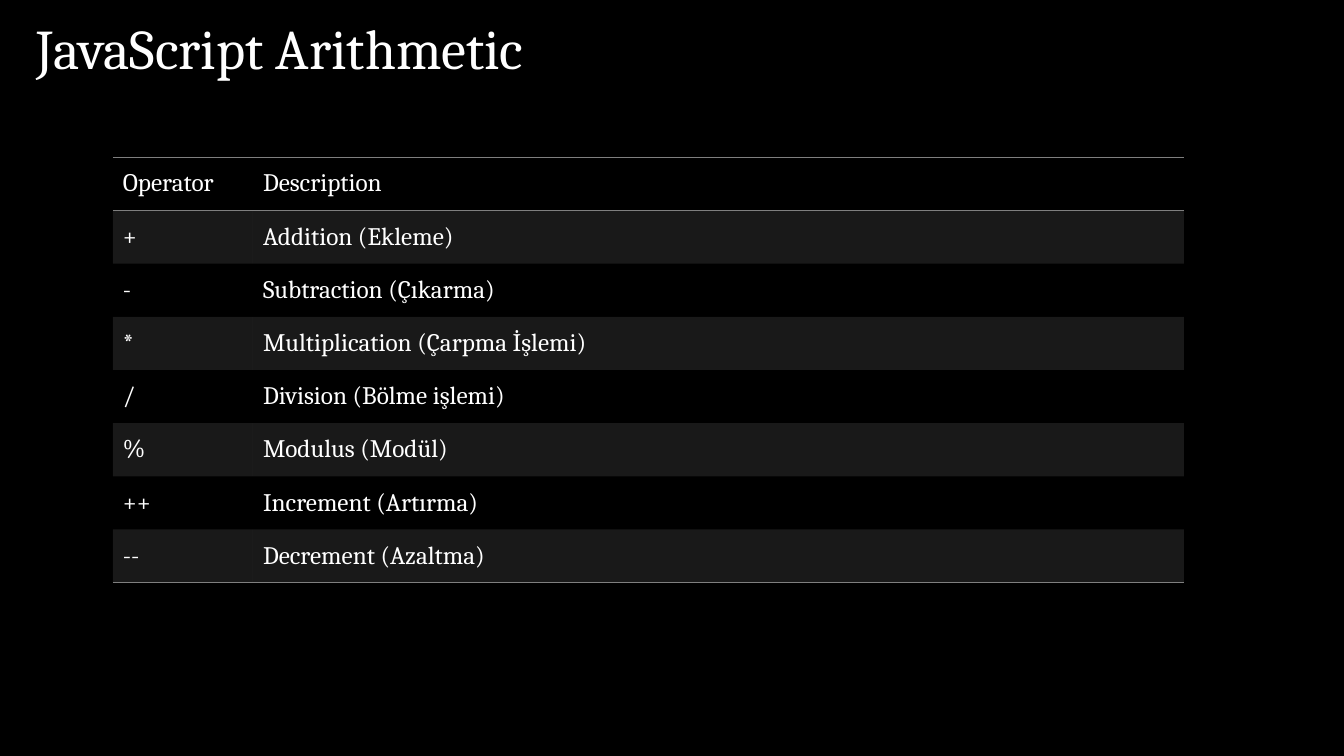
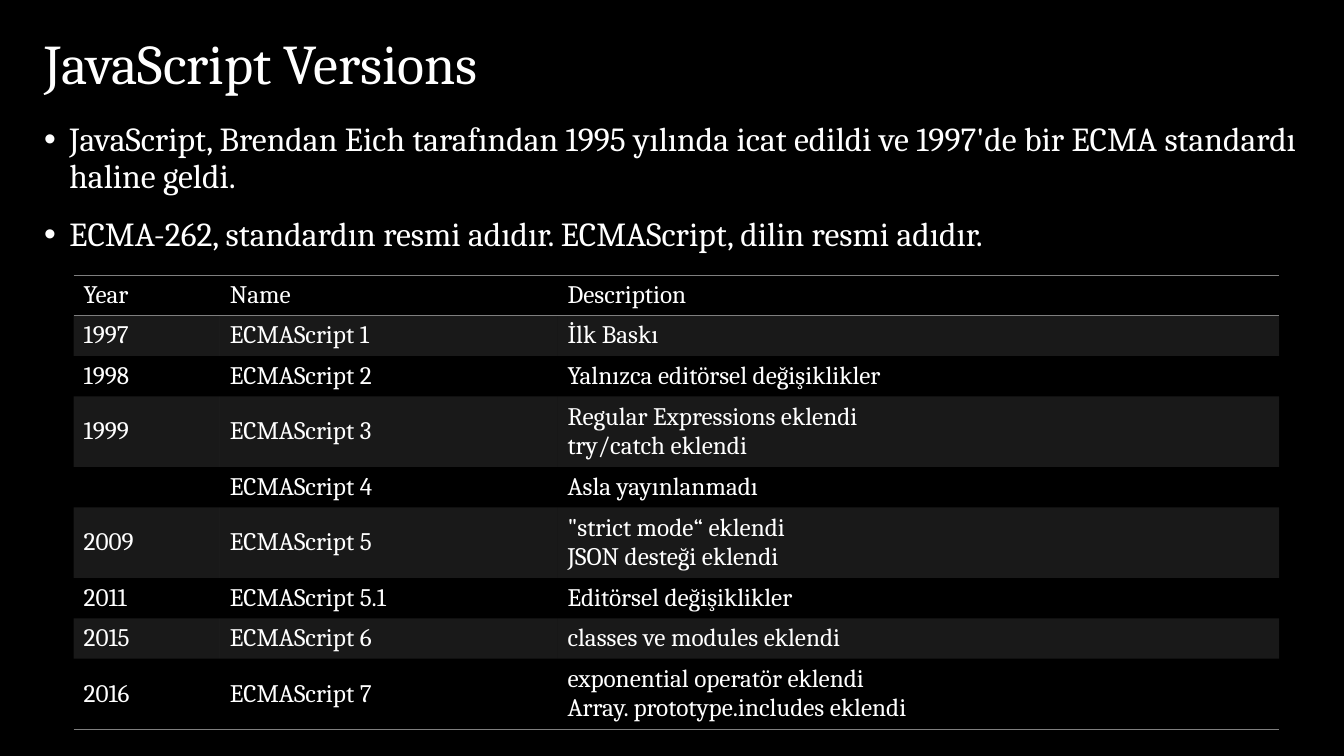
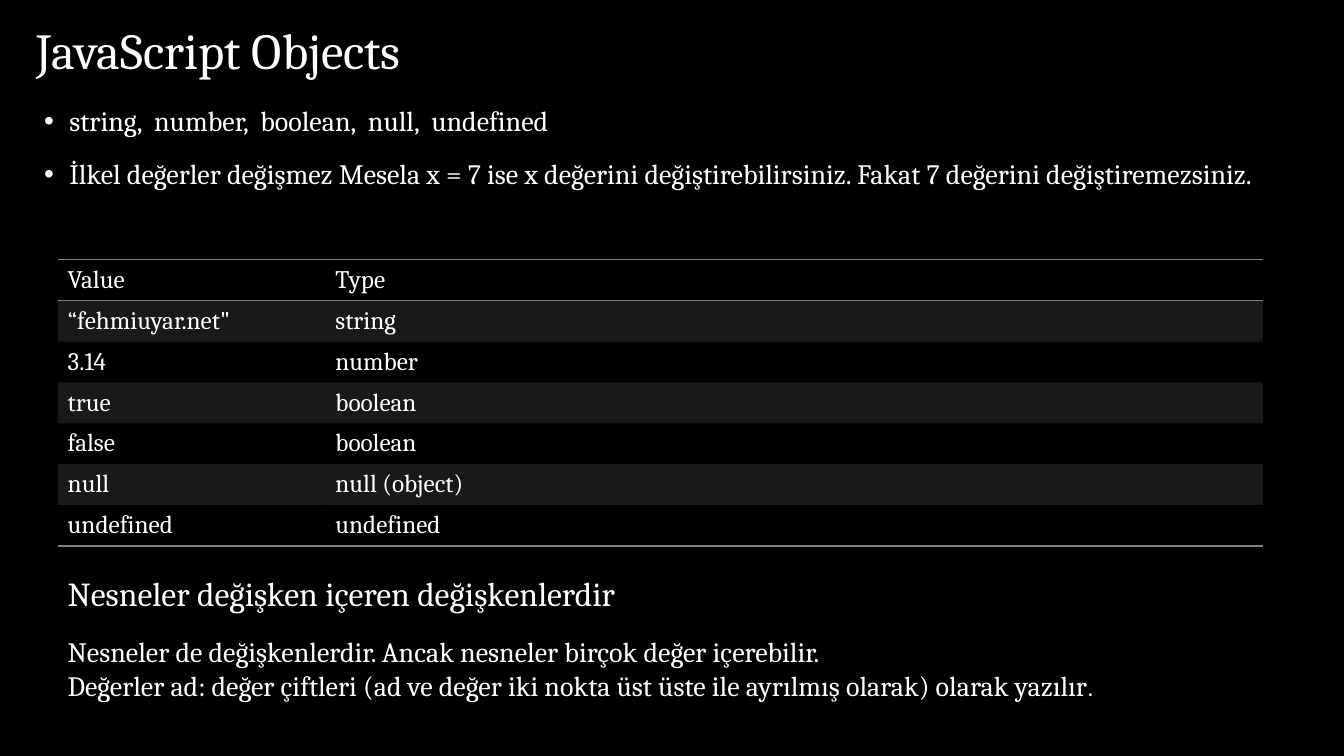
from dataclasses import dataclass

from lxml import etree
from pptx import Presentation
from pptx import util as u
from pptx.dml.color import RGBColor
from pptx.enum import text
from pptx.oxml.ns import qn


@dataclass(frozen=True)
class Theme:
    font: str = "Cambria"
    bullet_font: str = "Arial"
    back: str = "000000"
    ink: str = "FFFFFF"
    gray: str = "7F7F7F"
    band_alpha: str = "20000"
    plain_table: str = "{2D5ABB26-0587-4C30-8999-92F81FD0307C}"
    title: int = 40
    small_title: int = 36
    lead: int = 24
    body: int = 20
    cell: int = 18
    rule: float = 1
    bullet_indent: float = 18
    bullet_gap: float = 16


theme = Theme()


def write(para, words, size):
    for number, line in enumerate(words.split("\n")):
        if number:
            para.add_line_break()
        span = para.add_run()
        span.text = line
        for name, value in {"name": theme.font, "size": u.Pt(size)}.items():
            setattr(span.font, name, value)
        span.font.color.rgb = RGBColor.from_string(theme.ink)


def add_text(page, at, paragraphs, size, anchor=text.MSO_ANCHOR.TOP, spacing=1.0, bullets=False):
    box = page.shapes.add_textbox(*map(u.Pt, at))
    frame = box.text_frame
    for name, value in {"word_wrap": True, "vertical_anchor": anchor}.items():
        setattr(frame, name, value)
    for number, words in enumerate(paragraphs):
        para = frame.add_paragraph() if number else frame.paragraphs[0]
        para.line_spacing = spacing
        if bullets:
            props = para._p.get_or_add_pPr()
            props.set("marL", str(u.Pt(theme.bullet_indent)))
            props.set("indent", str(-u.Pt(theme.bullet_indent)))
            etree.SubElement(props, qn("a:buFont"), typeface=theme.bullet_font)
            etree.SubElement(props, qn("a:buChar"), char="•")
            if number:
                para.space_before = u.Pt(theme.bullet_gap)
        write(para, words, size)
    return box


pages = [
    {
        "title": ("JavaScript Arithmetic", (18.7, 11.5, 445.7, 49), theme.title),
        "table_at": (80.6, 112.3),
        "columns": (100.1, 664.9),
        "heights": [38] * 8,
        "rows": [
            ("Operator", "Description"),
            ("+", "Addition (Ekleme)"),
            ("-", "Subtraction (Çıkarma)"),
            ("*", "Multiplication (Çarpma İşlemi)"),
            ("/", "Division (Bölme işlemi)"),
            ("%", "Modulus (Modül)"),
            ("++", "Increment (Artırma)"),
            ("--", "Decrement (Azaltma)"),
        ],
    },
    {
        "title": ("JavaScript Versions", (24.5, 16.6, 417.6, 54.7), theme.title),
        "bullets": (
            [
                "JavaScript, Brendan Eich tarafından 1995 yılında icat edildi ve 1997'de bir ECMA standardı haline geldi.",
                "ECMA-262, standardın resmi adıdır. ECMAScript, dilin resmi adıdır.",
            ],
            (24.5, 84.2, 911.5, 438.5),
            theme.lead,
        ),
        "table_at": (52.6, 196.6),
        "columns": (104.4, 241.2, 515.5),
        "heights": [28.5, 28.5, 28.5, 48.6, 28.5, 48.6, 28.5, 28.5, 48.6],
        "rows": [
            ("Year", "Name", "Description"),
            ("1997", "ECMAScript 1", "İlk Baskı"),
            ("1998", "ECMAScript 2", "Yalnızca editörsel değişiklikler"),
            ("1999", "ECMAScript 3", "Regular Expressions eklendi\ntry/catch eklendi"),
            ("", "ECMAScript 4", "Asla yayınlanmadı"),
            ("2009", "ECMAScript 5", "\"strict mode“ eklendi\nJSON desteği eklendi"),
            ("2011", "ECMAScript 5.1", "Editörsel değişiklikler"),
            ("2015", "ECMAScript 6", "classes ve modules eklendi"),
            ("2016", "ECMAScript 7", "exponential operatör eklendi\nArray. prototype.includes eklendi"),
        ],
    },
    {
        "title": ("JavaScript Objects", (18.7, 16.6, 756, 43.2), theme.small_title),
        "bullets": (
            [
                "string,  number,  boolean,  null,  undefined",
                "İlkel değerler değişmez Mesela x = 7 ise x değerini değiştirebilirsiniz. Fakat 7 değerini değiştiremezsiniz.",
            ],
            (24.5, 73.4, 916.6, 444.2),
            theme.body,
        ),
        "table_at": (41.2, 185.6),
        "columns": (191.2, 669.6),
        "heights": [29.2] * 7,
        "rows": [
            ("Value", "Type"),
            ("“fehmiuyar.net\"", "string"),
            ("3.14", "number"),
            ("true", "boolean"),
            ("false", "boolean"),
            ("null", "null (object)"),
            ("undefined", "undefined"),
        ],
    },
]

deck = Presentation()
deck.slide_width, deck.slide_height = u.Pt(960), u.Pt(540)
backdrop = deck.slide_master.background.fill
backdrop.solid()
backdrop.fore_color.rgb = RGBColor.from_string(theme.back)

for content in pages:
    page = deck.slides.add_slide(deck.slide_layouts[6])
    heading, heading_at, heading_size = content["title"]
    add_text(page, heading_at, [heading], heading_size, text.MSO_ANCHOR.BOTTOM, 0.8)
    if "bullets" in content:
        points, points_at, points_size = content["bullets"]
        add_text(page, points_at, points, points_size, spacing=0.9, bullets=True)

    rows, columns, heights = content["rows"], content["columns"], content["heights"]
    extent = (*content["table_at"], sum(columns), sum(heights))
    table = page.shapes.add_table(len(rows), len(columns), *map(u.Pt, extent)).table
    table.horz_banding = False
    table._tbl.tblPr.find(qn("a:tableStyleId")).text = theme.plain_table
    for column, width in zip(table.columns, columns):
        column.width = u.Pt(width)
    for row_number, (row, height, entries) in enumerate(zip(table.rows, heights, rows)):
        row.height = u.Pt(height)
        edges = {0: ("a:lnT", "a:lnB"), len(rows) - 1: ("a:lnB",)}.get(row_number, ())
        for cell, words in zip(row.cells, entries):
            cell.vertical_anchor = text.MSO_ANCHOR.MIDDLE
            write(cell.text_frame.paragraphs[0], words, theme.cell)
            props = cell._tc.get_or_add_tcPr()
            if row_number % 2:
                cell.fill.solid()
                cell.fill.fore_color.rgb = RGBColor.from_string(theme.gray)
                tint = props.find(".//" + qn("a:srgbClr"))
                etree.SubElement(tint, qn("a:alpha"), val=theme.band_alpha)
            else:
                cell.fill.background()
            for position, edge in enumerate(edges):
                line = etree.Element(qn(edge), w=str(u.Pt(theme.rule)))
                paint = etree.SubElement(line, qn("a:solidFill"))
                etree.SubElement(paint, qn("a:srgbClr"), val=theme.gray)
                props.insert(position, line)

add_text(page, (41.2, 405.4, 860.4, 36), ["Nesneler değişken içeren değişkenlerdir"], theme.lead)
closing = add_text(
    page,
    (41.2, 450, 861.1, 55.4),
    [
        "Nesneler de değişkenlerdir. Ancak nesneler birçok değer içerebilir.\n"
        "Değerler ad: değer çiftleri (ad ve değer iki nokta üst üste ile ayrılmış olarak) olarak yazılır"
    ],
    theme.body,
)
write(closing.text_frame.paragraphs[0], ".", theme.cell)

deck.save("out.pptx")
